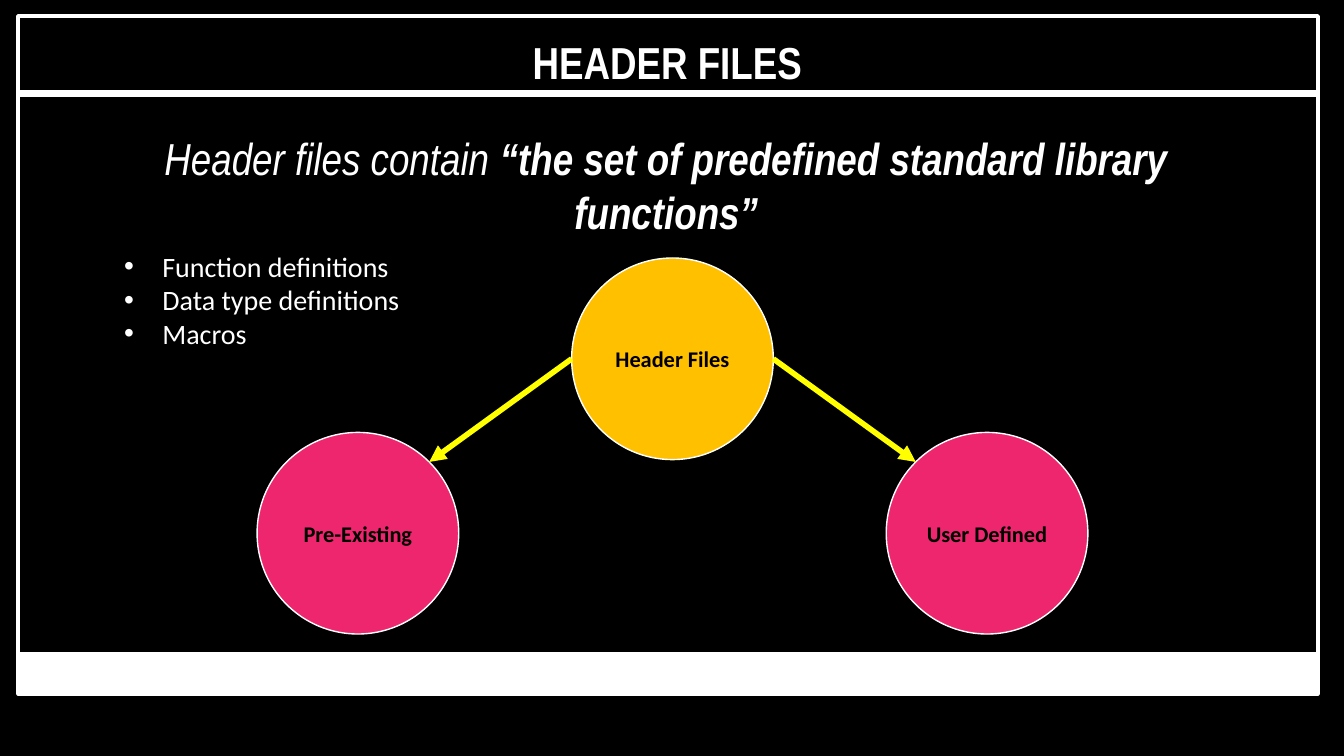
import math
import pptx
import pptx.util
import pptx.dml.color
import pptx.enum.shapes
import pptx.enum.text
import pptx.oxml
import pptx.oxml.ns

Inches, Pt = pptx.util.Inches, pptx.util.Pt
SHAPE = pptx.enum.shapes.MSO_SHAPE
ALIGN = pptx.enum.text.PP_ALIGN
ANCHOR = pptx.enum.text.MSO_ANCHOR

COLORS = {
    "black": "000000",
    "white": "FFFFFF",
    "amber": "FFC000",
    "pink": "EE266E",
    "yellow": "FFFF00",
}
HEADING = "HEADER FILES"
DEFINITION = [
    ("Header files contain ", False),
    ("“the set of predefined standard library functions”", True),
]
CONTENTS = ["Function definitions", "Data type definitions", "Macros"]
ROOT = ("Header Files", 6.67, 3.56)
KINDS = [("Pre-Existing", -1), ("User Defined", 1)]
KIND_OFFSET, KIND_Y, RADIUS = 3.12, 5.29, 1
FRAME_LEFT, FRAME_RIGHT, RULE_Y = 0.16, 13.07, 0.93


def rgb(name):
    return pptx.dml.color.RGBColor.from_string(COLORS[name])


def write(frame, paragraphs, font="Calibri", size=20, color="white",
          italic=False, align=ALIGN.CENTER, anchor=ANCHOR.TOP, bullet=False):
    frame.word_wrap = True
    frame.auto_size = pptx.enum.text.MSO_AUTO_SIZE.NONE
    frame.vertical_anchor = anchor
    for index, runs in enumerate(paragraphs):
        paragraph = frame.add_paragraph() if index else frame.paragraphs[0]
        if bullet:
            properties = paragraph._p.get_or_add_pPr()
            properties.set("marL", str(Inches(0.38)))
            properties.set("indent", str(-Inches(0.38)))
            for tag, name, value in (("buFont", "typeface", "Arial"), ("buChar", "char", "•")):
                element = pptx.oxml.parse_xml(
                    f'<a:{tag} {pptx.oxml.ns.nsdecls("a")} {name}="{value}"/>')
                properties.append(element)
        paragraph.alignment = align
        paragraph.space_before = Pt(0)
        for text, bold in runs:
            run = paragraph.add_run()
            run.text = text
            run.font.name = font
            run.font.size = Pt(size)
            run.font.bold = bold
            run.font.italic = italic
            run.font.color.rgb = rgb(color)


def place(part, left, top, width, height):
    part.left, part.top = Inches(left), Inches(top)
    part.width, part.height = Inches(width), Inches(height)


def draw(slide, preset, left, top, width, height, fill=None, line=None, weight=1):
    shape = slide.shapes.add_shape(
        preset, Inches(left), Inches(top), Inches(width), Inches(height))
    shape.shadow.inherit = False
    if fill:
        shape.fill.solid()
        shape.fill.fore_color.rgb = rgb(fill)
    else:
        shape.fill.background()
    if line:
        shape.line.color.rgb = rgb(line)
        shape.line.width = Pt(weight)
    else:
        shape.line.fill.background()
    return shape


def connect(slide, start, end, color, weight, arrow=False):
    connector = slide.shapes.add_connector(
        pptx.enum.shapes.MSO_CONNECTOR.STRAIGHT, *map(Inches, start + end))
    connector.line.color.rgb = rgb(color)
    connector.line.width = Pt(weight)
    namespace = pptx.oxml.ns.nsdecls("a")
    if arrow:
        connector.line._get_or_add_ln().append(
            pptx.oxml.parse_xml(f'<a:tailEnd {namespace} type="triangle"/>'))
    connector._element.spPr.append(pptx.oxml.parse_xml(f"<a:effectLst {namespace}/>"))


def circle(slide, label, x, y, fill):
    disc = draw(slide, SHAPE.OVAL, x - RADIUS, y - RADIUS, 2 * RADIUS, 2 * RADIUS,
                fill=fill, line="white")
    write(disc.text_frame, [[(label, True)]], size=16, color="black", anchor=ANCHOR.MIDDLE)


def main():
    deck = pptx.Presentation()
    deck.slide_width, deck.slide_height = Inches(13.33), Inches(7.5)
    slide = deck.slides.add_slide(deck.slide_layouts[1])
    slide.background.fill.solid()
    slide.background.fill.fore_color.rgb = rgb("black")

    draw(slide, SHAPE.RECTANGLE, 0.18, 0.16, 12.89, 6.72, line="white", weight=3)
    draw(slide, SHAPE.RECTANGLE, FRAME_LEFT, 6.47, FRAME_RIGHT - FRAME_LEFT, 0.4, fill="white")
    connect(slide, (FRAME_LEFT, RULE_Y), (FRAME_RIGHT, RULE_Y), "white", 5)

    heading = slide.shapes.title
    place(heading, 2.44, 0.29, 8.36, 0.64)
    write(heading.text_frame, [[(HEADING, True)]], font="Arial Narrow", size=32)

    definition = slide.shapes.add_textbox(
        Inches(1.13), Inches(1.25), Inches(10.96), Inches(1.15))
    write(definition.text_frame, [DEFINITION], font="Arial Narrow", size=32, italic=True)

    contents = slide.placeholders[1]
    place(contents, 1.13, 2.42, 4.3, 1.11)
    write(contents.text_frame, [[(item, False)] for item in CONTENTS],
          align=ALIGN.LEFT, bullet=True)

    root_label, root_x, root_y = ROOT
    circle(slide, root_label, root_x, root_y, "amber")
    reach = RADIUS * math.sqrt(0.5)
    for label, side in KINDS:
        kind_x = root_x + side * KIND_OFFSET
        circle(slide, label, kind_x, KIND_Y, "pink")
        connect(slide, (root_x + side * RADIUS, root_y),
                (kind_x - side * reach, KIND_Y - reach), "yellow", 4, arrow=True)

    deck.save("out.pptx")


if __name__ == "__main__":
    main()
